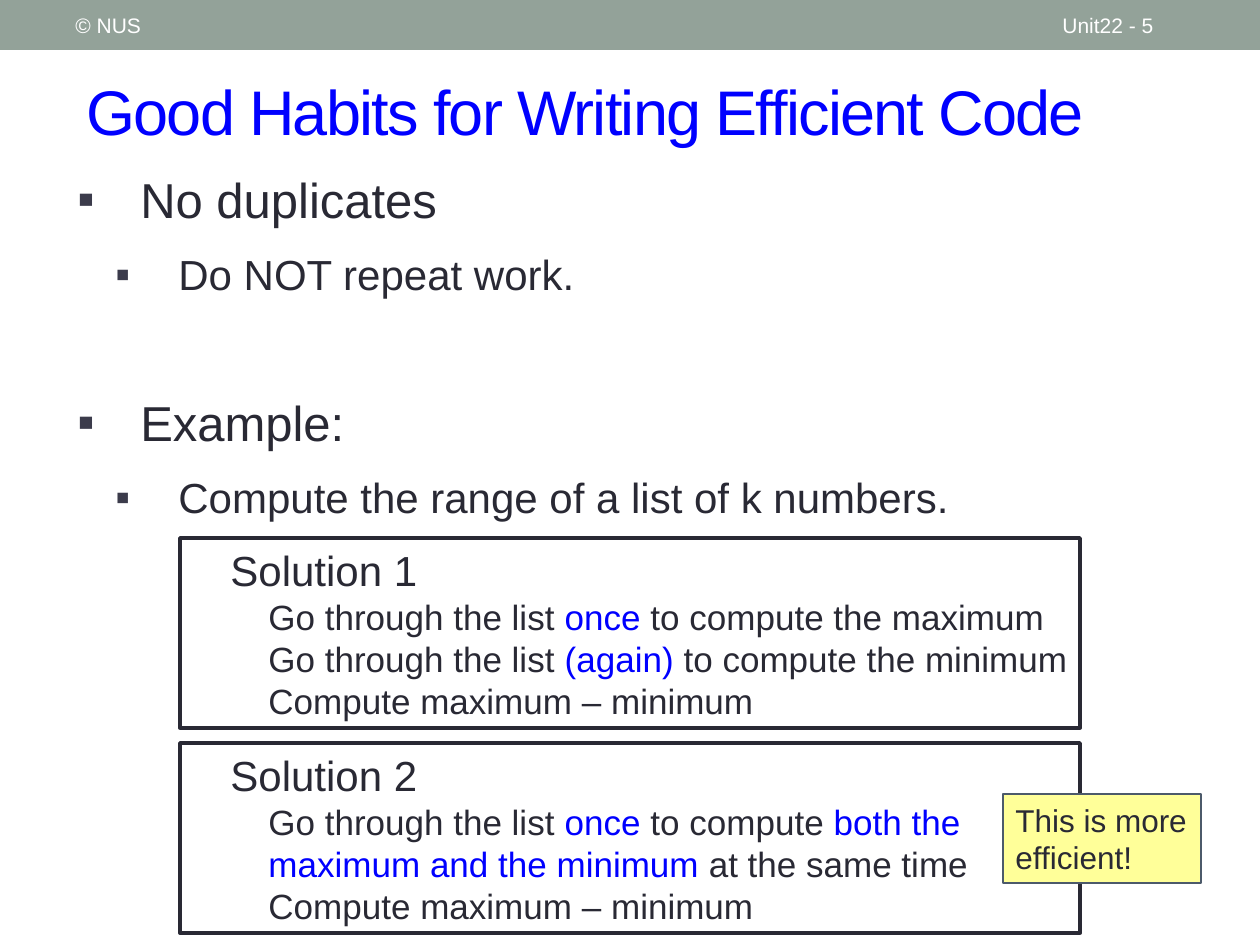
from dataclasses import dataclass

from lxml import etree
from pptx import Presentation
from pptx import util as u
from pptx.dml.color import RGBColor
from pptx.enum import shapes, text
from pptx.oxml.ns import qn

PX_PER_INCH = 126
INDENT = 38


@dataclass(frozen=True)
class Theme:
    font: str = "Arial"
    ink: str = "292934"
    accent: str = "0000FF"
    white: str = "FFFFFF"
    header: str = "93A299"
    bullet: str = "3B3B4B"
    note: str = "FFFF99"
    note_line: str = "4C5A6A"
    title_size: int = 36
    topic_size: int = 28
    point_size: int = 24
    step_size: int = 20
    note_size: int = 18
    header_size: int = 12


@dataclass(frozen=True)
class Area:
    left: int
    top: int
    width: int
    height: int


@dataclass(frozen=True)
class Span:
    text: str
    accent: bool = False


@dataclass(frozen=True)
class Bullet:
    text: str
    level: int
    before: int


@dataclass(frozen=True)
class Solution:
    heading: str
    top: int
    steps: tuple[tuple[Span, ...], ...]


THEME = Theme()
COMPUTE = (Span("Compute maximum – minimum"),)
BULLETS = (
    Bullet("No duplicates", 0, 0),
    Bullet("Do NOT repeat work.", 1, 12),
    Bullet("Example:", 0, 53),
    Bullet("Compute the range of a list of k numbers.", 1, 12),
)
SOLUTIONS = (
    Solution("Solution 1", 538, (
        (Span("Go through the list "), Span("once", True),
         Span(" to compute the maximum")),
        (Span("Go through the list "), Span("(again) ", True),
         Span("to compute the minimum")),
        COMPUTE,
    )),
    Solution("Solution 2", 743, (
        (Span("Go through the list "), Span("once", True), Span(" to compute "),
         Span("both the maximum and the minimum", True),
         Span(" at the same time")),
        COMPUTE,
    )),
)


def px(length: int) -> u.Emu:
    return u.Emu(round(length * u.Inches(1) / PX_PER_INCH))


def place(area: Area) -> tuple[u.Emu, ...]:
    return px(area.left), px(area.top), px(area.width), px(area.height)


def add_rectangle(page, area: Area, fill: str, line: str = "", weight: float = 1):
    box = page.shapes.add_shape(shapes.MSO_SHAPE.RECTANGLE, *place(area))
    box.shadow.inherit = False
    box.fill.solid()
    box.fill.fore_color.rgb = RGBColor.from_string(fill)
    if line:
        box.line.color.rgb = RGBColor.from_string(line)
        box.line.width = u.Pt(weight)
    else:
        box.line.fill.background()
    return box


def prepare_frame(box, anchor=text.MSO_ANCHOR.MIDDLE):
    frame = box.text_frame
    frame.word_wrap = True
    frame.vertical_anchor = anchor
    return frame


def write(frame, spans: tuple[Span, ...], *, size: int, color: str = THEME.ink,
          level: int = 0, indent: int = 0, hanging: int = 0, before: int = 0,
          bullet: str = "", spacing: int = 0) -> None:
    """Fill the frame's first paragraph if it is empty, otherwise add one."""
    para = frame.paragraphs[-1]
    if para.runs:
        para = frame.add_paragraph()
    para.alignment = text.PP_ALIGN.LEFT
    para.level = level
    para.space_before = u.Pt(before)
    props = para._p.get_or_add_pPr()
    props.set("marL", str(px(indent)))
    props.set("indent", str(px(-hanging)))
    if bullet:
        tint = etree.SubElement(props, qn("a:buClr"))
        etree.SubElement(tint, qn("a:srgbClr"), val=THEME.bullet)
        etree.SubElement(props, qn("a:buFont"), typeface=THEME.font)
        etree.SubElement(props, qn("a:buChar"), char=bullet)
    for span in spans:
        run = para.add_run()
        run.text = span.text
        run.font.name = THEME.font
        run.font.size = u.Pt(size)
        run.font.color.rgb = RGBColor.from_string(
            THEME.accent if span.accent else color)
        if spacing:
            run._r.get_or_add_rPr().set("spc", str(spacing))


def add_label(page, area: Area, words: str, **style) -> None:
    frame = prepare_frame(page.shapes.add_textbox(*place(area)))
    write(frame, (Span(words),), **style)


def add_bullets(page, area: Area, bullets: tuple[Bullet, ...]) -> None:
    box = page.shapes.add_textbox(*place(area))
    frame = prepare_frame(box, text.MSO_ANCHOR.TOP)
    sizes = (THEME.topic_size, THEME.point_size)
    for item in bullets:
        write(frame, (Span(item.text),), size=sizes[item.level], level=item.level,
              indent=63 + INDENT * item.level, hanging=63, before=item.before,
              bullet="▪")


def add_solution(page, solution: Solution) -> None:
    area = Area(180, solution.top, 900, 190)
    frame = prepare_frame(
        add_rectangle(page, area, THEME.white, THEME.ink, 2.08))
    write(frame, (Span(solution.heading),), size=THEME.point_size, level=1,
          indent=INDENT)
    for step in solution.steps:
        write(frame, step, size=THEME.step_size, level=2, indent=2 * INDENT)


def main() -> None:
    deck = Presentation()
    deck.slide_width, deck.slide_height = px(1260), px(945)
    page = deck.slides.add_slide(deck.slide_layouts[6])

    add_rectangle(page, Area(0, 0, 1260, 50), THEME.header)
    add_label(page, Area(74, 52, 1155, 116), "Good Habits for Writing Efficient Code",
              size=THEME.title_size, color=THEME.accent, spacing=-100)
    add_label(page, Area(1050, 3, 147, 45), "Unit22 - 5",
              size=THEME.header_size, color=THEME.white)
    add_label(page, Area(63, 3, 399, 45), "© NUS",
              size=THEME.header_size, color=THEME.white)
    add_bullets(page, Area(65, 163, 1095, 730), BULLETS)
    for solution in SOLUTIONS:
        add_solution(page, solution)
    note = add_rectangle(page, Area(1003, 794, 198, 89), THEME.note, THEME.note_line)
    write(prepare_frame(note), (Span("This is more efficient!"),),
          size=THEME.note_size)

    deck.save("out.pptx")


if __name__ == "__main__":
    main()
